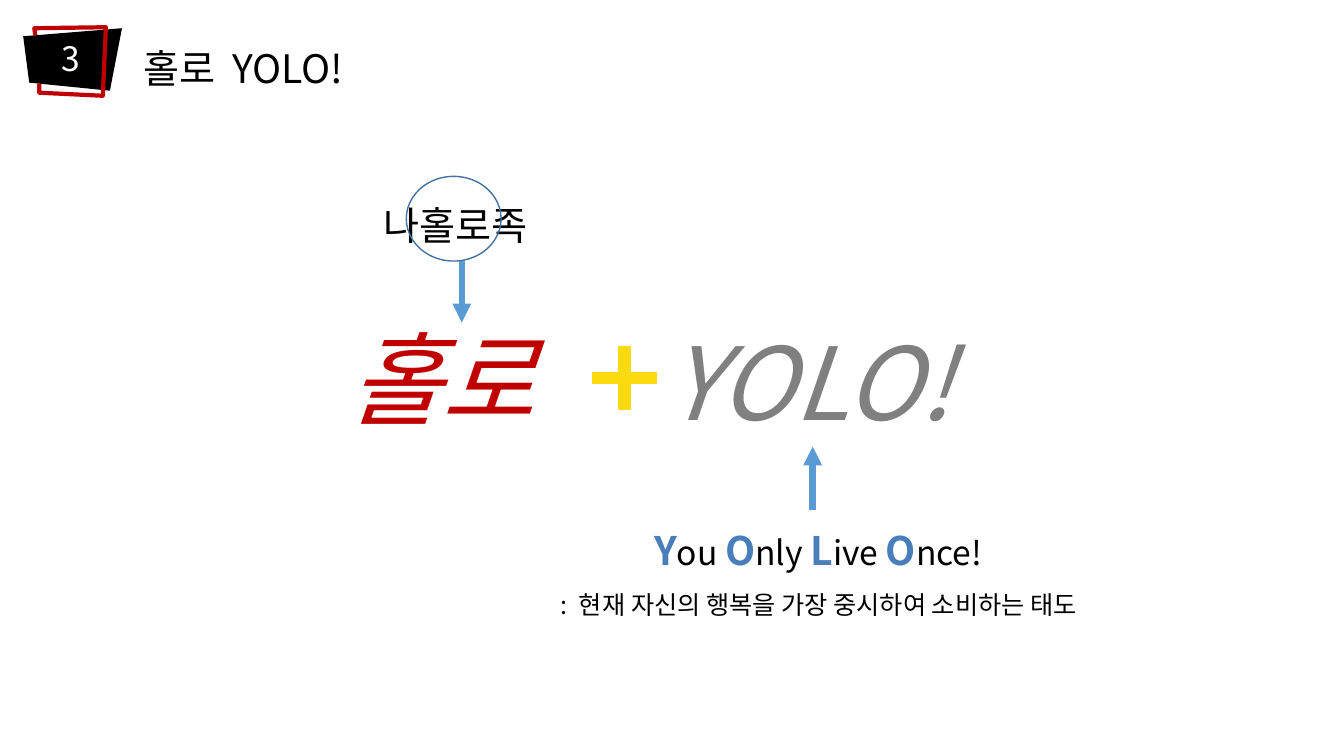
from lxml import etree
from pptx import Presentation
from pptx.dml.color import RGBColor
from pptx.enum.shapes import MSO_CONNECTOR as CONN, MSO_SHAPE as SHAPE
from pptx.enum.text import MSO_AUTO_SIZE as FIT, PP_ALIGN as ALIGN
from pptx.oxml.ns import qn
from pptx.util import Pt

PX = 9144
FONT = "Noto Sans CJK KR"
COLORS = {
    "black": "000000", "white": "FFFFFF", "red": "C00000", "gray": "808080",
    "yellow": "FCDA10", "arrow": "5B9BD5", "ring": "43739E", "initial": "4A7EBB",
}


def rgb(name):
    return RGBColor.from_string(COLORS[name])


class SlideBuilder:
    """Draw styled elements on the current slide, with lengths in px."""

    def __init__(self, prs):
        self.s = prs.slides.add_slide(prs.slide_layouts[6])

    def paint(self, sp, fill=None, line=None, width=1):
        sp.shadow.inherit = False
        if fill:
            sp.fill.solid()
            sp.fill.fore_color.rgb = rgb(fill)
        else:
            sp.fill.background()
        if line:
            sp.line.color.rgb = rgb(line)
            sp.line.width = Pt(width)
        else:
            sp.line.fill.background()

    def shape(self, kind, x, y, w, h, adj=(), **style):
        sp = self.s.shapes.add_shape(kind, x * PX, y * PX, w * PX, h * PX)
        for i, value in enumerate(adj):
            sp.adjustments[i] = value
        self.paint(sp, **style)

    def outline(self, points, close=True, **style):
        builder = self.s.shapes.build_freeform(*points[0], scale=PX)
        builder.add_line_segments(points[1:], close=close)
        self.paint(builder.convert_to_shape(), **style)

    def arrow(self, x, y1, y2):
        c = self.s.shapes.add_connector(CONN.STRAIGHT, x * PX, y1 * PX, x * PX, y2 * PX)
        c.line.color.rgb = rgb("arrow")
        c.line.width = Pt(4.5)
        etree.SubElement(c.line._get_or_add_ln(), qn("a:tailEnd"), type="triangle")
        etree.SubElement(c._element.spPr, qn("a:effectLst"))

    def run(self, p, text, size=28, color="black", bold=False, italic=False, gap=0):
        r = p.add_run()
        r.text = text
        r.font.size = Pt(size)
        r.font.bold = bold
        r.font.italic = italic
        r.font.color.rgb = rgb(color)
        r.font.name = FONT
        rPr = r._r.get_or_add_rPr()
        etree.SubElement(rPr, qn("a:ea"), typeface=FONT)
        if gap:
            rPr.set("spc", str(gap * 100))

    def text(self, x, y, w, h, runs, wrap=False, align=ALIGN.LEFT, spacing=None, **fmt):
        tf = self.s.shapes.add_textbox(x * PX, y * PX, w * PX, h * PX).text_frame
        tf.word_wrap = wrap
        tf.auto_size = FIT.SHAPE_TO_FIT_TEXT
        p = tf.paragraphs[0]
        p.alignment = align
        if spacing:
            p.line_spacing = spacing
        for text, own in runs:
            self.run(p, text, **{**fmt, **own})


def main():
    prs = Presentation()
    prs.slide_width, prs.slide_height = 1333 * PX, 750 * PX
    b = SlideBuilder(prs)

    b.outline([(23, 36), (29, 82), (109, 90), (121, 28)], fill="black")
    b.outline([(35, 35), (34, 28), (105, 27), (102, 95), (39, 92), (39, 83)],
              close=False, line="red", width=3)
    b.text(51, 33, 42, 50, [("3", {})], size=24, color="white")
    b.text(132, 16, 232, 73, [("홀로", {}), (" ", {"gap": 6}), ("YOLO!", {})], spacing=1.5)

    b.text(336, 309, 204, 131, [("홀로", {})], size=72, color="red", italic=True)
    b.text(651, 312, 310, 131, [("YOLO!", {})], size=72, color="gray", italic=True)
    b.shape(SHAPE.MATH_PLUS, 576, 333, 87, 84, adj=[0.135], fill="yellow", line="yellow")

    b.arrow(806, 506, 443)
    b.text(371, 195, 227, 57, [("나홀로족", {})], wrap=True)
    b.arrow(458, 259, 320)
    b.shape(SHAPE.OVAL, 403, 175, 94, 84, line="ring")

    b.text(510, 580, 604, 40,
           [(":", {}), (" ", {"gap": 4}), ("현재 자신의 행복을 가장 중시하여 소비하는 태도", {})],
           wrap=True, align=ALIGN.CENTER, size=18)
    motto = []
    for word in ("You ", "Only ", "Live ", "Once!"):
        motto.append((word[0], {"size": 28, "color": "initial", "bold": True}))
        motto.append((word[1:], {"size": 24}))
    b.text(637, 517, 349, 57, motto, align=ALIGN.CENTER)

    prs.save("out.pptx")


if __name__ == "__main__":
    main()
